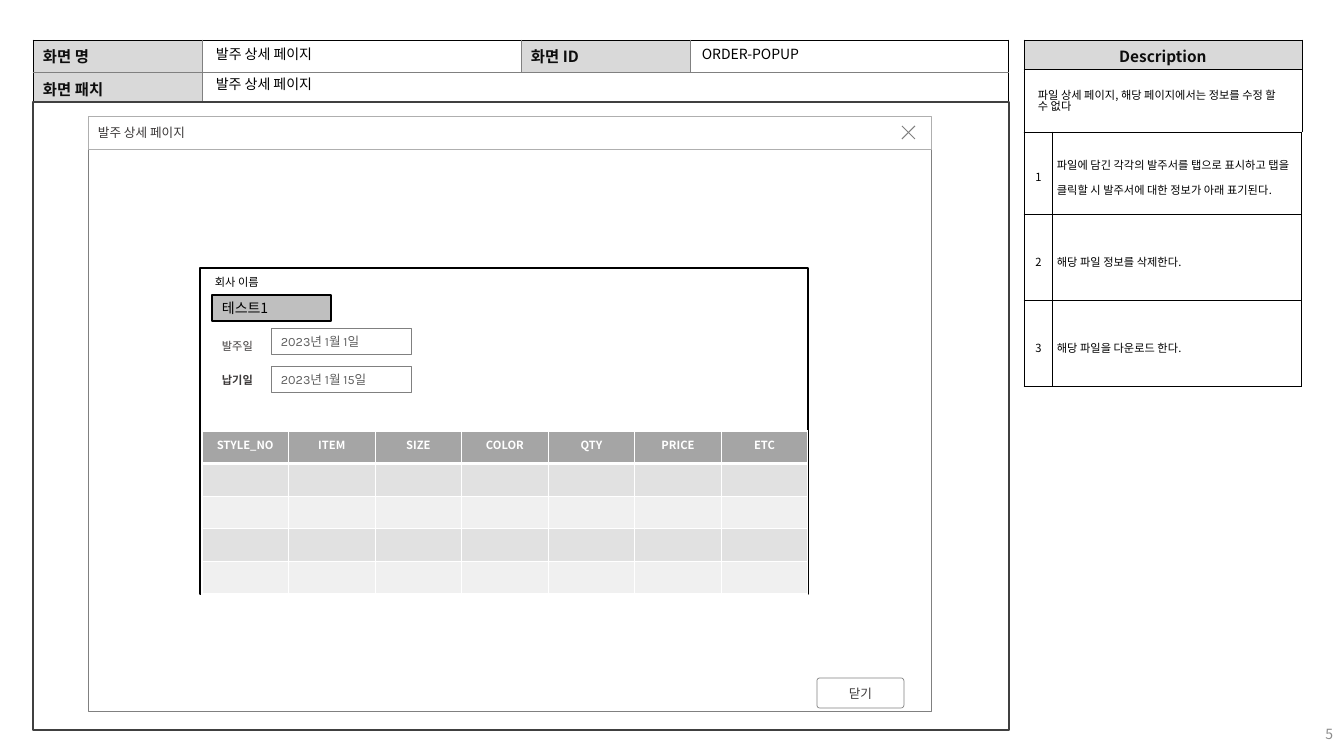
import pptx
import pptx.util
import pptx.dml.color
import pptx.enum.shapes
import pptx.enum.text
import pptx.oxml
import pptx.oxml.ns
from dataclasses import dataclass

SCALE = 914400 / 100.8
FORMS = pptx.enum.shapes.MSO_SHAPE
ALIGN = pptx.enum.text.PP_ALIGN
MID = pptx.enum.text.MSO_ANCHOR.MIDDLE
TOP = pptx.enum.text.MSO_ANCHOR.TOP


@dataclass(frozen=True)
class Theme:
    sans: str = "Noto Sans CJK KR"
    form: str = "Karla"
    black: str = "000000"
    white: str = "FFFFFF"
    head: str = "0D0D0D"
    label: str = "3B3838"
    entry: str = "5F5F5F"
    page: str = "8C8C8C"
    frame: str = "404040"
    line: str = "808080"
    pale: str = "AFAFAF"
    title: str = "D9D9D9"
    tab: str = "BFBFBF"
    top: str = "A5A5A5"
    bands: tuple = ("F0F0F0", "E1E1E1")
    big: int = 11
    base: int = 10
    mid: int = 9
    small: int = 8


def px(num):
    return pptx.util.Emu(round(num * SCALE))


def rgb(code):
    return pptx.dml.color.RGBColor.from_string(code)


def put(item, values):
    for name, value in values.items():
        setattr(item, name, value)


class Board:
    def __init__(self, slide, theme):
        self.shapes, self.theme = slide.shapes, theme

    def words(self, frame, text, size, color=None, face=None, bold=False, **form):
        """Fill one paragraph; an empty one only takes its size."""
        par = frame.paragraphs[0]
        put(par, form)
        if not text:
            par._p.get_or_add_endParaRPr().set("sz", str(size * 100))
            return
        run = par.add_run()
        run.text = text
        put(run.font, {"size": pptx.util.Pt(size), "bold": bold,
                       "name": face or self.theme.sans})
        run.font.color.rgb = rgb(color or self.theme.black)
        east = pptx.oxml.parse_xml(
            f'<a:ea {pptx.oxml.ns.nsdecls("a")} typeface="{self.theme.sans}"/>')
        run.font._element.find(pptx.oxml.ns.qn("a:latin")).addnext(east)

    def inset(self, item, pads):
        names = ("margin_left", "margin_top", "margin_right", "margin_bottom")
        put(item, dict(zip(names, map(px, pads))))

    def text(self, box, text, size, anchor=TOP, **form):
        frame = self.shapes.add_textbox(*map(px, box)).text_frame
        put(frame, {"word_wrap": True, "vertical_anchor": anchor})
        self.words(frame, text, size, **form)

    def block(self, box, line, width, fill=None, text="", size=9,
              kind=FORMS.RECTANGLE, pads=(10, 5, 10, 5), **form):
        shape = self.shapes.add_shape(kind, *map(px, box))
        shape.shadow.inherit = False
        shape.fill.solid()
        shape.fill.fore_color.rgb = rgb(fill or self.theme.white)
        shape.line.color.rgb = rgb(line)
        shape.line.width = pptx.util.Pt(width)
        if text:
            put(shape.text_frame, {"word_wrap": True, "vertical_anchor": MID})
            self.inset(shape.text_frame, pads)
            self.words(shape.text_frame, text, size, **{"alignment": ALIGN.LEFT, **form})
        return shape

    def cross(self, x, y, side):
        pen = self.shapes.build_freeform(x + side, y, SCALE)
        pen.add_line_segments([(x, y + side)], close=False)
        pen.move_to(x, y)
        pen.add_line_segments([(x + side, y + side)], close=False)
        shape = pen.convert_to_shape()
        shape.shadow.inherit = False
        shape.fill.background()
        shape.line.color.rgb = rgb(self.theme.line)
        shape.line.width = pptx.util.Pt(0.75)

    def edge(self, cell, side, color, width):
        cell._tc.get_or_add_tcPr().append(pptx.oxml.parse_xml(
            f'<a:ln{side} {pptx.oxml.ns.nsdecls("a")} w="{int(width * 12700)}">'
            f'<a:solidFill><a:srgbClr val="{color}"/></a:solidFill></a:ln{side}>'))

    def table(self, x, y, cols, rows, texts, style, outer, inner=None,
              under=None, merge=None, pads=(10, 5, 10, 5), anchor=MID):
        """style(row, col) gives a cell's fill and its text format."""
        inner = inner or outer
        grid = self.shapes.add_table(len(rows), len(cols), px(x), px(y),
                                     px(sum(cols)), px(sum(rows))).table
        put(grid, {"first_row": False, "horz_banding": False})
        for col, width in zip(grid.columns, cols):
            col.width = px(width)
        for row, height in zip(grid.rows, rows):
            row.height = px(height)
        if merge:
            grid.cell(*merge[0]).merge(grid.cell(*merge[1]))
        for r in range(len(rows)):
            for c in range(len(cols)):
                cell = grid.cell(r, c)
                if cell.is_spanned:
                    continue
                span = cell.span_width if cell.is_merge_origin else 1
                rims = {"L": c == 0, "R": c + span == len(cols),
                        "T": r == 0, "B": r + 1 == len(rows)}
                for side, rim in rims.items():
                    line = outer if rim else inner
                    if under and r == 0 and side == "B":
                        line = under
                    self.edge(cell, side, *line)
                fill, form = style(r, c)
                cell.fill.solid()
                cell.fill.fore_color.rgb = rgb(fill)
                cell.vertical_anchor = anchor
                self.inset(cell, pads)
                self.words(cell.text_frame, texts.get((r, c), ""), **form)


show = pptx.Presentation()
put(show, {"slide_width": px(1344), "slide_height": px(756)})
look = Theme()
board = Board(show.slides.add_slide(show.slide_layouts[6]), look)
rim = (look.black, 0.75)

# Screen header and main frame
title = {"size": look.big, "color": look.head, "bold": True}
board.table(33, 40, [169, 319, 169, 319], [29, 29],
            {(0, 0): "화면 명", (0, 2): "화면 ID", (1, 0): "화면 패치"},
            lambda r, c: (look.white if c % 2 else look.title, title),
            rim, (look.line, 0.5), merge=((1, 1), (1, 3)))
board.block((33, 102, 976, 628), look.frame, 1.5)

# Description heading and summary
board.table(1024, 40, [278], [29], {(0, 0): "Description"},
            lambda r, c: (look.title, {**title, "alignment": ALIGN.CENTER}), rim)
board.table(1024, 69, [278], [63], {},
            lambda r, c: (look.white, {"size": look.small}), rim)
board.text((1288, 714, 55, 40), "5", look.base, MID,
           color=look.page, alignment=ALIGN.RIGHT)

# Header values
for box, value in (((206, 42, 311, 22), "발주 상세 페이지"),
                   ((692, 42, 311, 22), "ORDER-POPUP"),
                   ((206, 72, 798, 22), "발주 상세 페이지")):
    board.text(box, value, look.base, line_spacing=0.9,
               space_before=pptx.util.Pt(10))
board.text((1028, 72, 270, 60),
           "파일 상세 페이지, 해당 페이지에서는 정보를 수정 할 수 없다",
           look.small, MID, line_spacing=0.8, space_before=pptx.util.Pt(10))

# Numbered notes
notes = ("파일에 담긴 각각의 발주서를 탭으로 표시하고 탭을 클릭할 시 "
         "발주서에 대한 정보가 아래 표기된다.",
         "해당 파일 정보를 삭제한다.", "해당 파일을 다운로드 한다.")
cells = {}
for r, note in enumerate(notes):
    cells[r, 0], cells[r, 1] = str(r + 1), note
board.table(1024, 132, [29, 249], [82, 86, 86], cells,
            lambda r, c: (look.white, {
                "size": look.small, "line_spacing": 1.5,
                "alignment": ALIGN.LEFT if c else ALIGN.CENTER}),
            rim, pads=(4, 5, 4, 5))

# Popup window
form = {"face": look.form, "color": look.label, "size": look.mid}
board.block((88, 146, 843, 565), look.line, 0.5)
board.block((88, 116, 843, 33), look.pale, 0.5, text="발주 상세 페이지",
            pads=(10, 5, 25, 5), **form)
board.cross(902, 126, 13)
close = board.block((817, 678, 87, 30), look.line, 0.5, text="닫기",
                    kind=FORMS.ROUNDED_RECTANGLE, alignment=ALIGN.CENTER, **form)
close.adjustments[0] = 0.09

# Order sheet
board.block((200, 268, 608, 326), look.black, 1)
heads = ("STYLE_NO", "ITEM", "SIZE", "COLOR", "QTY", "PRICE", "ETC")
board.table(202, 431, [606 / 7] * 7, [163 / 5] * 5,
            {(0, c): head for c, head in enumerate(heads)},
            lambda r, c: (look.bands[r % 2] if r else look.top, {
                "size": look.small, "color": look.white, "bold": True,
                "alignment": ALIGN.CENTER}),
            (look.white, 1), under=(look.white, 3), anchor=TOP)

# Company and dates
board.block((212, 295, 119, 26), look.black, 1, look.tab, "테스트1", look.base)
board.text((205, 270, 125, 24), "회사 이름", look.small)
for y, gap, name, date, bold in ((328, 0, "발주일", "2023년 1월 1일", False),
                                 (366, -4, "납기일", "2023년 1월 15일", True)):
    board.text((212, y + gap, 107, 28), name, look.small, color=look.label,
               bold=bold, line_spacing=1.5)
    board.block((271, y, 140, 26), look.line, 0.5, text=date, size=look.mid,
                face=look.form, color=look.entry, pads=(10, 6, 28, 6))

show.save("out.pptx")
